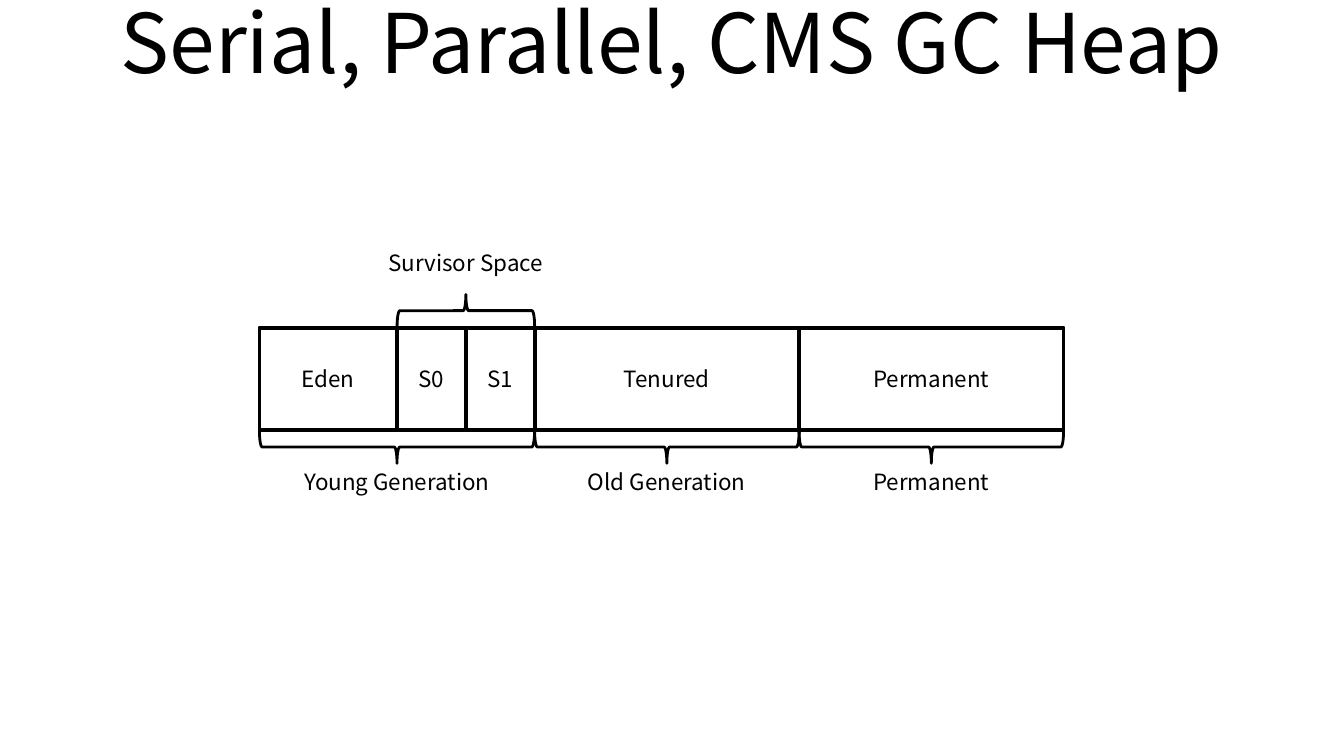
from pptx import Presentation
from pptx.dml.color import RGBColor
from pptx.enum.shapes import MSO_SHAPE as Shape
from pptx.enum.text import MSO_ANCHOR as Anchor, PP_ALIGN as Align
from pptx.util import Pt

BLACK = RGBColor(0, 0, 0)
WHITE = RGBColor(255, 255, 255)
FONT = "Noto Sans CJK KR"

# Heap bar geometry, in points
HEAP_LEFT, HEAP_TOP, HEAP_H = 139, 175.7, 54.7
HEAP_BOTTOM = HEAP_TOP + HEAP_H
UNIT = 36.85  # width of one survivor space
TENURED_W = 141.7
REGIONS = [("Eden", 2 * UNIT), ("S0", UNIT), ("S1", UNIT),
           ("Tenured", TENURED_W), ("Permanent", TENURED_W)]
BRACE_H = 17.5
LABEL_W, LABEL_H = 128, 32.4


def write(s, text, size):
    tf = s.text_frame
    tf.word_wrap = True
    tf.vertical_anchor = Anchor.MIDDLE
    tf.margin_left = tf.margin_right = tf.margin_top = tf.margin_bottom = 0
    p = tf.paragraphs[0]
    p.alignment = Align.CENTER
    r = p.add_run()
    r.text = text
    r.font.name = FONT
    r.font.size = Pt(size)
    r.font.color.rgb = BLACK


def add_title(slide, text):
    s = slide.shapes.add_textbox(Pt(36), Pt(-12.2), Pt(648), Pt(67.7))
    write(s, text, 44)


def add_shape(slide, kind, left, top, width, height):
    s = slide.shapes.add_shape(kind, Pt(left), Pt(top), Pt(width), Pt(height))
    s.shadow.inherit = False
    s.fill.background()
    return s


def outline(s, weight):
    s.line.color.rgb = BLACK
    s.line.width = Pt(weight)


def add_region(slide, text, left, width):
    s = add_shape(slide, Shape.ROUNDED_RECTANGLE, left, HEAP_TOP, width, HEAP_H)
    s.adjustments[0] = 0
    s.fill.solid()
    s.fill.fore_color.rgb = WHITE
    outline(s, 2)
    write(s, text, 12)


def add_brace(slide, start, end, top, rotation):
    """Turn a left brace so that it spans start to end horizontally."""
    span = end - start
    s = add_shape(slide, Shape.LEFT_BRACE, (start + end - BRACE_H) / 2,
                  top + (BRACE_H - span) / 2, BRACE_H, span)
    s.rotation = rotation
    outline(s, 1.5)


def add_label(slide, text, center, top):
    s = add_shape(slide, Shape.ROUNDED_RECTANGLE, center - LABEL_W / 2, top,
                  LABEL_W, LABEL_H)
    s.adjustments[0] = 0.09
    s.line.fill.background()
    write(s, text, 12)


def main():
    prs = Presentation()
    prs.slide_width, prs.slide_height = Pt(720), Pt(405)
    slide = prs.slides.add_slide(prs.slide_layouts[6])

    add_title(slide, "Serial, Parallel, CMS GC Heap")

    # Heap regions, side by side
    edges = [HEAP_LEFT]
    for text, width in REGIONS:
        add_region(slide, text, edges[-1], width)
        edges.append(edges[-1] + width)

    # Survivor spaces, marked above the bar
    start, end = edges[1], edges[3]
    add_brace(slide, start, end, HEAP_TOP - BRACE_H - 0.5, 90)
    add_label(slide, "Survisor Space", (start + end) / 2, 124.6)

    # Generations, marked below the bar
    generations = [("Young Generation", 0, 3), ("Old Generation", 3, 4),
                   ("Permanent", 4, 5)]
    for text, first, last in generations:
        start, end = edges[first], edges[last]
        add_brace(slide, start, end, HEAP_BOTTOM + 0.3, 270)
        add_label(slide, text, (start + end) / 2, 242)

    prs.save("out.pptx")


if __name__ == "__main__":
    main()
